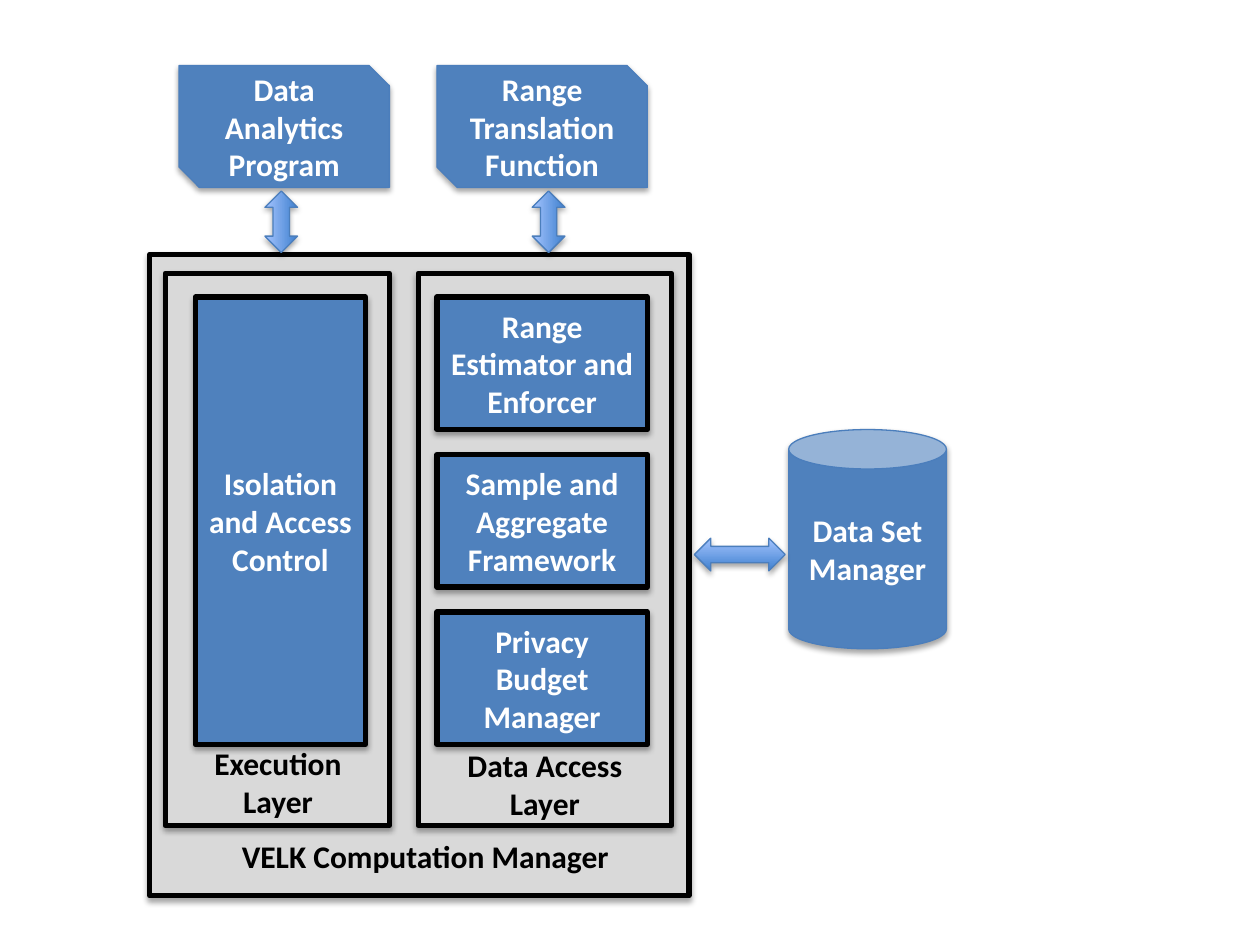
"""Build the computation manager architecture slide."""
from lxml import etree
from pptx import Presentation
from pptx import util as u
from pptx.dml.color import RGBColor
from pptx.enum import shapes, text
from pptx.oxml import ns

BLACK = RGBColor(0x00, 0x00, 0x00)
WHITE = RGBColor(0xFF, 0xFF, 0xFF)
GREY = RGBColor(0xD9, 0xD9, 0xD9)
BLUE = RGBColor(0x4F, 0x81, 0xBD)
EDGE = RGBColor(0x4B, 0x7E, 0xBC)
ARROW_DARK = RGBColor(0x3F, 0x80, 0xCE)
ARROW_LIGHT = RGBColor(0xA4, 0xC4, 0xFF)
KIND = shapes.MSO_SHAPE


class Diagram:
    """Hold the slide and its style; all positions are in centimetres."""

    def __init__(self, slide, font="Calibri", size=18):
        self.slide, self.font, self.size = slide, font, size

    def add_words(self, sp, words, color):
        tf = sp.text_frame
        tf.word_wrap = True
        p = tf.paragraphs[0]
        p.alignment = text.PP_ALIGN.CENTER
        r = p.add_run()
        r.text = words
        r.font.name, r.font.size, r.font.bold = self.font, u.Pt(self.size), True
        r.font.color.rgb = color

    def shadow(self, sp):
        sp.shadow.inherit = False
        effects = sp._element.spPr.find(ns.qn("a:effectLst"))
        outer = etree.SubElement(effects, ns.qn("a:outerShdw"), blurRad="40000",
                                 dist="23000", dir="5400000", rotWithShape="0")
        color = etree.SubElement(outer, ns.qn("a:srgbClr"), val=str(BLACK))
        etree.SubElement(color, ns.qn("a:alpha"), val="35000")

    def shape(self, kind, box, words="", fill=BLUE, line=EDGE, width=0.75):
        sp = self.slide.shapes.add_shape(kind, *map(u.Cm, box))
        sp.fill.solid()
        sp.fill.fore_color.rgb = fill
        sp.line.color.rgb, sp.line.width = line, u.Pt(width)
        self.shadow(sp)
        if words:
            sp.text_frame.vertical_anchor = text.MSO_ANCHOR.MIDDLE
            self.add_words(sp, words, WHITE)
        return sp

    def block(self, box, words="", fill=BLUE):
        return self.shape(KIND.RECTANGLE, box, words, fill, BLACK, 3)

    def arrow(self, box, rotation=0):
        sp = self.shape(KIND.LEFT_RIGHT_ARROW, box)
        sp.rotation = rotation
        sp.fill.gradient()
        sp.fill.gradient_angle = 90
        for stop, color in zip(sp.fill.gradient_stops, (ARROW_DARK, ARROW_LIGHT)):
            stop.color.rgb = color

    def label(self, box, words):
        tb = self.slide.shapes.add_textbox(*map(u.Cm, box))
        self.add_words(tb, words, BLACK)


prs = Presentation()
prs.slide_width, prs.slide_height = u.Cm(25.4), u.Cm(19.05)
d = Diagram(prs.slides.add_slide(prs.slide_layouts[6]))

d.block((3.02, 5.13, 10.87, 12.93), fill=GREY)
for left, width in ((8.43, 5.11), (3.33, 4.52)):
    d.block((left, 5.51, width, 11.13), fill=GREY)

TOP, HEIGHT, BOX_HEIGHT = 5.99, 9.02, 2.67
d.block((3.94, TOP, 3.43, HEIGHT), "Isolation and Access Control")
modules = ("Range Estimator and Enforcer", "Sample and Aggregate Framework",
           "Privacy Budget Manager")
pitch = (HEIGHT - BOX_HEIGHT) / (len(modules) - 1)
for i, words in enumerate(modules):
    d.block((8.81, TOP + i * pitch, 4.24, BOX_HEIGHT), words)

d.label((3.61, 14.88, 3.99, 1.8), "Execution Layer")
d.label((8.43, 14.91, 5.11, 1.8), "Data Access Layer")

for left, words in ((8.81, "Range Translation Function"),
                    (3.61, "Data Analytics Program")):
    d.shape(KIND.SNIP_2_DIAG_RECTANGLE, (left, 1.32, 4.24, 2.46), words)
d.shape(KIND.CAN, (15.9, 8.66, 3.18, 4.42), "Data Set Manager")
d.label((3.61, 16.74, 9.93, 1.02), "VELK Computation Manager")

d.arrow((14, 10.85, 1.83, 0.66))
for left in (10.44, 5.05):
    d.arrow((left, 4.14, 1.24, 0.66), rotation=270)

prs.save("out.pptx")
